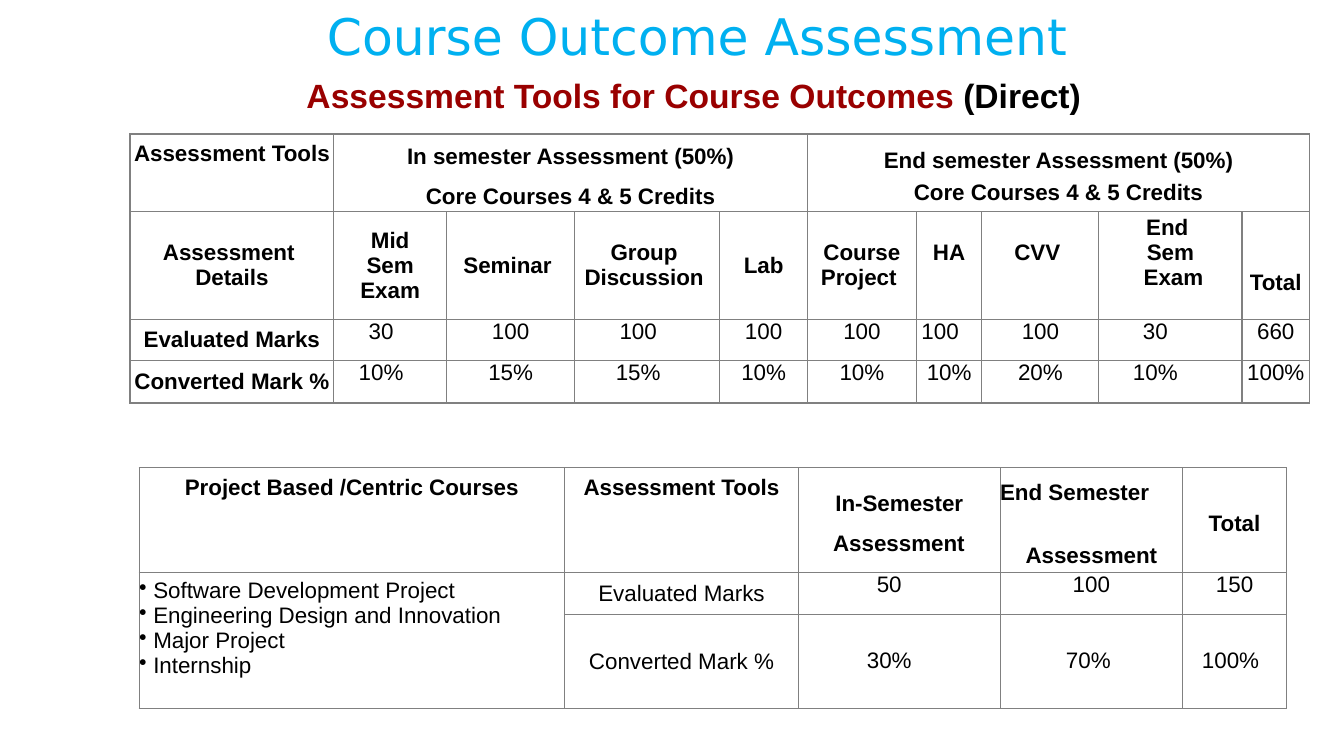
"""Build the slide on direct assessment tools for course outcomes."""
from lxml import etree
from pptx import Presentation
from pptx.dml.color import RGBColor
from pptx.enum.text import MSO_ANCHOR as Anchor, PP_ALIGN as Align
from pptx.oxml import parse_xml
from pptx.oxml.ns import nsdecls, qn
from pptx.util import Inches, Pt

rgb = RGBColor.from_string
BLACK, GREY = "000000", "808080"


def add_grid(slide, left, top, widths, heights, spans):
    """Add an unfilled table with thin grey borders and merged spans."""
    table = slide.shapes.add_table(
        len(heights), len(widths), Inches(left), Inches(top),
        Inches(sum(widths)), Inches(sum(heights))).table
    table.first_row = table.horz_banding = False
    for column, width in zip(table.columns, widths):
        column.width = Inches(width)
    for row, height in zip(table.rows, heights):
        row.height = Inches(height)
    for cell in table.iter_cells():
        properties = cell._tc.get_or_add_tcPr()
        for side in ("lnL", "lnR", "lnT", "lnB"):
            properties.append(parse_xml(
                f'<a:{side} {nsdecls("a")} w="12700"><a:solidFill>'
                f'<a:srgbClr val="{GREY}"/></a:solidFill></a:{side}>'))
        cell.fill.background()
    for first, last in spans:
        table.cell(*first).merge(table.cell(*last))
    return table


def write_cell(cell, text, bold=False, anchor=Anchor.TOP, margins=(0, 0, 0, 0),
               spacing=1.0, gap=0, align=Align.CENTER):
    """Write one paragraph per line; margins are left, top, right, bottom."""
    cell.vertical_anchor = anchor
    (cell.margin_left, cell.margin_top,
     cell.margin_right, cell.margin_bottom) = map(Inches, margins)
    frame = cell.text_frame
    for number, line in enumerate(text.split("\n")):
        paragraph = frame.add_paragraph() if number else frame.paragraphs[0]
        paragraph.alignment = align
        paragraph.line_spacing = spacing
        paragraph.space_before = Pt(gap if number else 0)
        run = paragraph.add_run()
        run.text = line
        run.font.name, run.font.size, run.font.bold = "Arial", Pt(16), bold
        run.font.color.rgb = rgb(BLACK)


deck = Presentation()
deck.slide_width, deck.slide_height = Inches(13.33), Inches(7.5)
slide = deck.slides.add_slide(deck.slide_layouts[6])

headings = [
    ((2.33, 0, 9.33, 0.71), Anchor.TOP, 0.05, 36, "DejaVu Sans", False,
     [("Course Outcome Assessment ", "00B0F0")]),
    ((2.42, 0.67, 8.92, 0.91), Anchor.MIDDLE, 0.42, 24, "Arial", True,
     [("Assessment Tools for Course Outcomes ", "990000"), ("(Direct)", BLACK)]),
]
for place, anchor, bottom, size, face, bold, parts in headings:
    frame = slide.shapes.add_textbox(*map(Inches, place)).text_frame
    frame.word_wrap = True
    frame.vertical_anchor = anchor
    frame.margin_bottom = Inches(bottom)
    heading = frame.paragraphs[0]
    heading.alignment = Align.CENTER
    for text, color in parts:
        run = heading.add_run()
        run.text = text
        run.font.name, run.font.size, run.font.bold = face, Pt(size), bold
        run.font.color.rgb = rgb(color)

core = add_grid(
    slide, 1.29, 1.33,
    [2.02, 1.12, 1.27, 1.44, 0.87, 1.08, 0.65, 1.16, 1.42, 0.67],
    [0.77, 1.07, 0.41, 0.42],
    [((0, 1), (0, 4)), ((0, 5), (0, 9))])
write_cell(core.cell(0, 0), "Assessment Tools", True, spacing=1.3)
for column, term, gap in ((1, "In", 5.5), (5, "End", 0)):
    write_cell(core.cell(0, column),
               f"{term} semester Assessment (50%)\nCore Courses 4 & 5 Credits",
               True, Anchor.MIDDLE, spacing=1.3, gap=gap)

details = ["Assessment \nDetails", "Mid\nSem\nExam", "Seminar ",
           "Group \nDiscussion ", "Lab", "Course Project ", "HA", "CVV ",
           "End \nSem\n Exam"]
for column, detail in enumerate(details):
    side = 0.05 if column else 0
    bottom = 0.25 if column >= 6 else 0
    write_cell(core.cell(1, column), detail, True, Anchor.MIDDLE,
               (side, 0, side, bottom))
write_cell(core.cell(1, 9), "Total", True, Anchor.MIDDLE, (0, 0.26, 0, 0), 1.3)

core_marks = [
    ["Evaluated Marks", "30", "100", "100", "100", "100", "100", "100", "30", "660"],
    ["Converted Mark %", "10%", "15%", "15%", "10%", "10%", "10%", "20%", "10%", "100%"],
]
core_insets = [{1: 0.18, 3: 0.18, 6: 0.18, 8: 0.3}, {1: 0.18, 3: 0.18, 8: 0.3}]
for row, (marks, insets) in enumerate(zip(core_marks, core_insets), 2):
    write_cell(core.cell(row, 0), marks[0], True, Anchor.MIDDLE)
    for column, mark in enumerate(marks[1:], 1):
        write_cell(core.cell(row, column), mark,
                   margins=(0, 0, insets.get(column, 0), 0))

projects = add_grid(slide, 1.38, 4.64, [4.22, 2.32, 2, 1.81, 1.03],
                    [1.04, 0.42, 0.93], [((1, 0), (2, 0))])
project_heads = [
    ("Project Based /Centric Courses", Anchor.TOP, 0),
    ("Assessment Tools", Anchor.TOP, 0),
    ("In-Semester\n Assessment ", Anchor.MIDDLE, 5.5),
    ("End Semester\nAssessment", Anchor.MIDDLE, 22),
    ("Total", Anchor.MIDDLE, 0),
]
for column, (head, anchor, gap) in enumerate(project_heads):
    write_cell(projects.cell(0, column), head, True, anchor, spacing=1.3, gap=gap)
projects.cell(0, 3).text_frame.paragraphs[0].alignment = Align.LEFT

courses = projects.cell(1, 0)
write_cell(courses, "Software Development Project\nEngineering Design and Innovation\n"
           "Major Project\nInternship", anchor=Anchor.MIDDLE,
           margins=(0, 0, 0, 0.25), align=Align.LEFT)
for course in courses.text_frame.paragraphs:
    properties = course._p.get_or_add_pPr()
    properties.set("marL", str(Inches(0.14)))
    properties.set("indent", str(-Inches(0.14)))
    etree.SubElement(properties, qn("a:buChar")).set("char", "•")

project_marks = [
    ("Evaluated Marks", 0, [("50", 0.2), ("100", 0), ("150", 0)]),
    ("Converted Mark %", 0.33, [("30%", 0.2), ("70%", 0.06), ("100%", 0.08)]),
]
for row, (tool, top, marks) in enumerate(project_marks, 1):
    write_cell(projects.cell(row, 1), tool, anchor=Anchor.MIDDLE)
    for column, (mark, inset) in enumerate(marks, 2):
        write_cell(projects.cell(row, column), mark, margins=(0, top, inset, 0))

deck.save("out.pptx")
